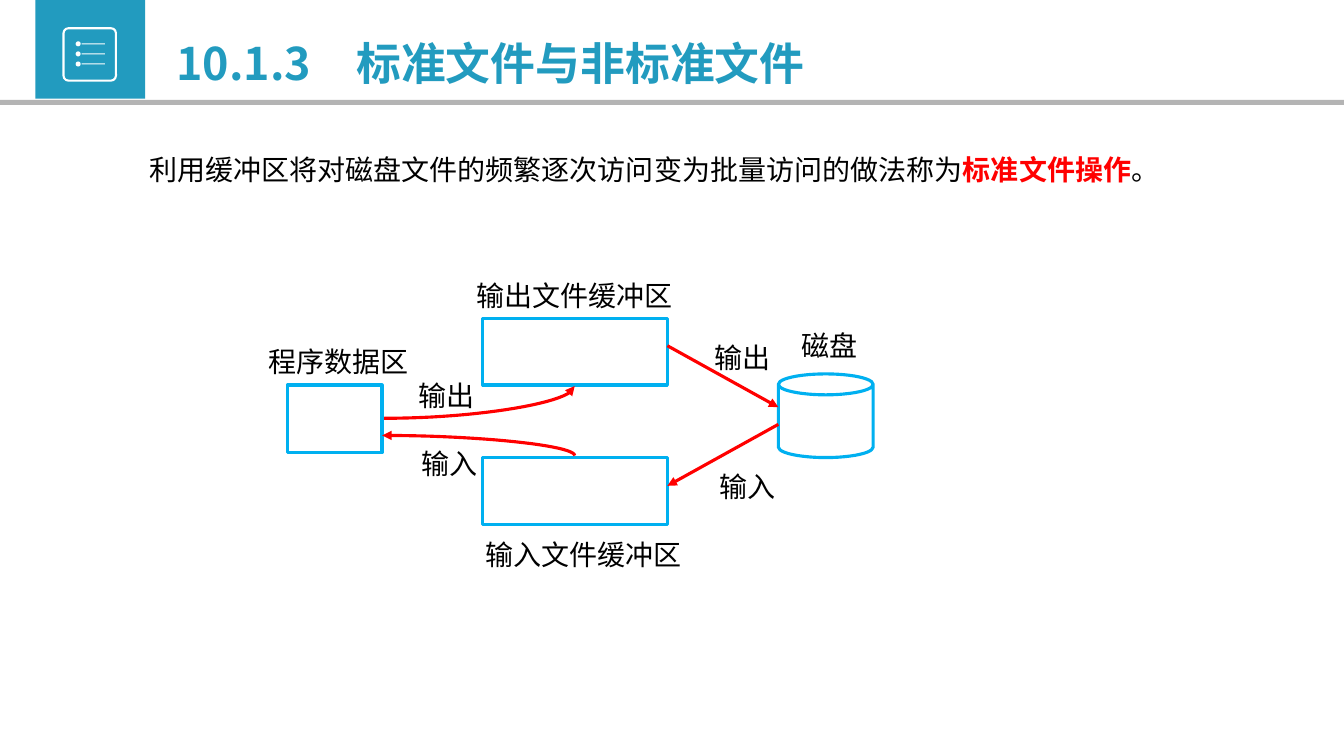
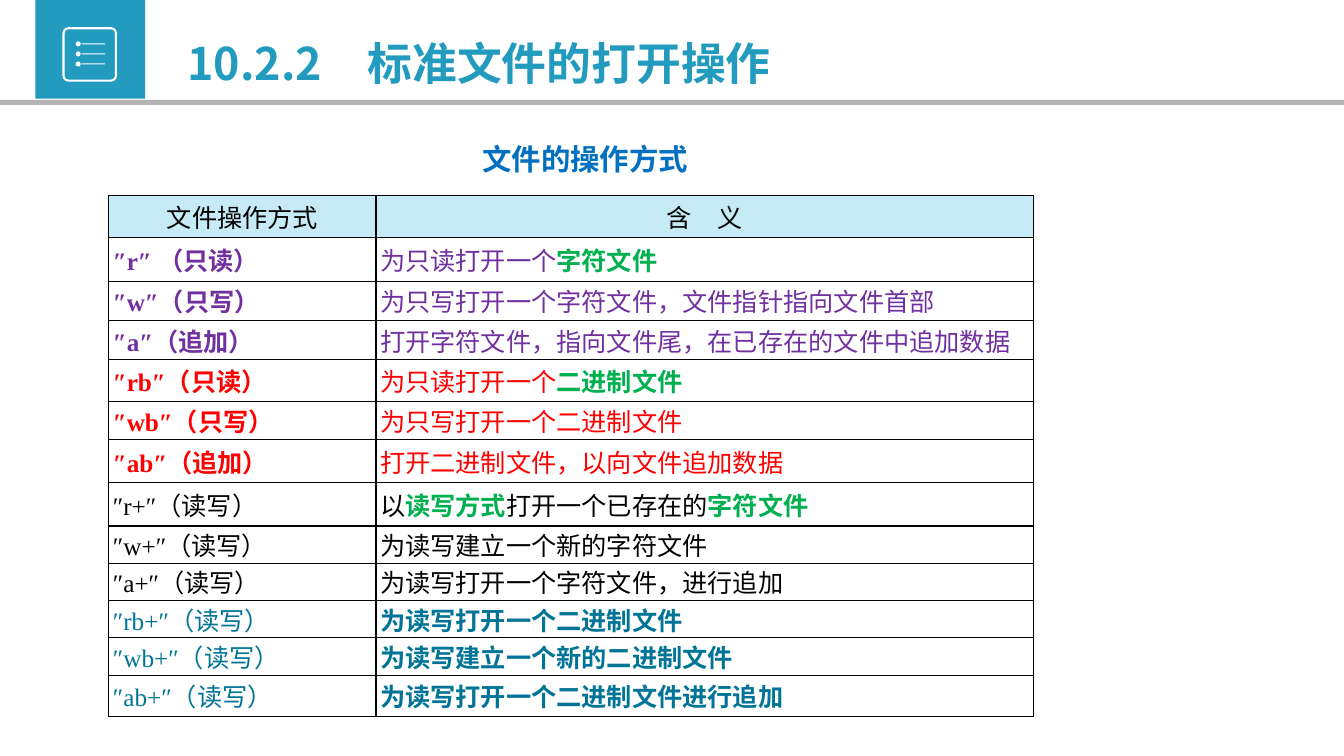
"""Build two slides on standard files: buffer diagram and table of open modes."""
from lxml import etree
from pptx import Presentation
from pptx.dml.color import RGBColor
from pptx.enum import shapes as kinds, text as modes
from pptx.oxml import ns
from pptx.util import Inches, Pt

SANS, SERIF = "Noto Sans CJK SC", "Times New Roman"
TEAL, SKY, RED, GREEN = "229BBF", "00B0F0", "FF0000", "00B050"
BLACK, WHITE, GREY, BLUE = "000000", "FFFFFF", "B4B4B4", "0070C0"
PURPLE, DEEP, PALE = "7030A0", "007496", "C7EBF6"
KIND = kinds.MSO_SHAPE
MID = modes.MSO_ANCHOR.MIDDLE
CENTER = modes.PP_ALIGN.CENTER


def tint(fill, hue):
    """Give a fill, a line fill or a font fill one solid colour."""
    fill.solid()
    fill.fore_color.rgb = RGBColor.from_string(hue)


def write(para, parts, size, face=SANS):
    """Add runs of (words, colour, bold) to a paragraph."""
    for words, hue, bold in parts:
        run = para.add_run()
        run.text = words
        run.font.size, run.font.bold, run.font.name = Pt(size), bold, face
        tint(run.font.fill, hue)
        east = etree.SubElement(run._r.get_or_add_rPr(), ns.qn("a:ea"))
        east.set("typeface", SANS)


prs = Presentation()
prs.slide_width, prs.slide_height = Inches(13.33), Inches(7.5)
layout = prs.slide_layouts[5]

heads = [("10.1.3　标准文件与非标准文件", 1.65), ("10.2.2　标准文件的打开操作", 1.76)]
slides = []
for words, left in heads:
    slide = prs.slides.add_slide(layout)
    title = slide.shapes.title
    title.left, title.top = Inches(left), Inches(0.3)
    title.width, title.height = Inches(7.44), Inches(0.64)
    frame = title.text_frame
    frame.auto_size = modes.MSO_AUTO_SIZE.NONE
    frame.vertical_anchor = MID
    frame.paragraphs[0].alignment = modes.PP_ALIGN.LEFT
    write(frame.paragraphs[0], [(words, TEAL, True)], 32)
    slides.append(slide)
flow, chart = slides

band = [
    (KIND.RECTANGLE, 0.35, 0, 1.09, 0.98, TEAL),
    (KIND.RECTANGLE, 0, 0.99, 13.33, 0.05, GREY),
    (KIND.ROUNDED_RECTANGLE, 0.63, 0.28, 0.52, 0.52, None),
]
for row in range(3):
    top = 0.41 + row * 0.1
    band.append((KIND.OVAL, 0.75, top, 0.05, 0.05, WHITE))
    band.append((KIND.RECTANGLE, 0.81, top + 0.02, 0.23, 0.01, WHITE))
for kind, left, top, wide, high, hue in band:
    part = flow.shapes.add_shape(kind, Inches(left), Inches(top), Inches(wide), Inches(high))
    part.shadow.inherit = False
    if hue:
        tint(part.fill, hue)
        part.line.fill.background()
    else:
        part.adjustments[0] = 0.095
        part.fill.background()
        tint(part.line.fill, WHITE)
        part.line.width = Pt(1.5)
    layout.shapes.element.append(part.element)

box = flow.shapes.add_textbox(Inches(0.89), Inches(1.3), Inches(10.95), Inches(0.61))
box.text_frame.word_wrap = True
para = box.text_frame.paragraphs[0]
para.line_spacing = 1.5
para._p.get_or_add_pPr().set("indent", str(Inches(0.49)))
write(para, [
    ("利用缓冲区将对磁盘文件的频繁逐次访问变为批量访问的做法称为", BLACK, False),
    ("标准文件操作", RED, True),
    ("。", BLACK, False),
], 20, SERIF)

stores = [
    (KIND.RECTANGLE, 4.79, 3.16, 1.83, 0.66),
    (KIND.RECTANGLE, 2.85, 3.82, 0.94, 0.67),
    (KIND.RECTANGLE, 4.79, 4.54, 1.83, 0.66),
    (KIND.CAN, 7.72, 3.71, 0.94, 0.83),
]
for kind, *spot in stores:
    store = flow.shapes.add_shape(kind, *map(Inches, spot))
    store.shadow.inherit = False
    store.fill.background()
    tint(store.line.fill, SKY)
    store.line.width = Pt(2.25)

arrows = []
for x1, y1, x2, y2 in [(6.62, 3.43, 7.72, 4.04), (7.72, 4.21, 6.62, 4.82)]:
    arrows.append(flow.shapes.add_connector(
        kinds.MSO_CONNECTOR.STRAIGHT, Inches(x1), Inches(y1), Inches(x2), Inches(y2)))
bends = [
    [(3.81, 4.15), (4.75, 4.15), (5.7, 3.99), (5.7, 3.83)],
    [(5.7, 4.52), (5.7, 4.42), (4.75, 4.32), (3.79, 4.32)],
]
for knots in bends:
    curve = []
    for step in range(25):
        t = step / 24
        mix = ((1 - t) ** 3, 3 * t * (1 - t) ** 2, 3 * t * t * (1 - t), t ** 3)
        curve.append([Inches(sum(m * k[axis] for m, k in zip(mix, knots))) for axis in (0, 1)])
    pen = flow.shapes.build_freeform(*curve[0])
    pen.add_line_segments(curve[1:], close=False)
    arrow = pen.convert_to_shape()
    arrow.fill.background()
    arrows.append(arrow)
for arrow in arrows:
    tint(arrow.line.fill, RED)
    arrow.line.width = Pt(2.25)
    tip = etree.SubElement(arrow.line._get_or_add_ln(), ns.qn("a:tailEnd"))
    tip.set("type", "triangle")
    etree.SubElement(arrow.element.spPr, ns.qn("a:effectLst"))

labels = [
    (flow, "程序数据区", 2.6, 3.36, 1.51, 20, BLACK),
    (flow, "输出文件缓冲区", 4.66, 2.71, 2.08, 20, BLACK),
    (flow, "输入文件缓冲区", 4.75, 5.28, 2.08, 20, BLACK),
    (flow, "磁盘", 7.89, 3.21, 0.67, 20, BLACK),
    (flow, "输出", 4.09, 3.7, 0.67, 20, BLACK),
    (flow, "输入", 4.12, 4.38, 0.67, 20, BLACK),
    (flow, "输出", 7.03, 3.32, 0.67, 20, BLACK),
    (flow, "输入", 7.08, 4.6, 0.67, 20, BLACK),
    (chart, "文件的操作方式", 4.72, 1.35, 2.17, 21, BLUE),
]
for slide, words, left, top, wide, size, hue in labels:
    label = slide.shapes.add_textbox(Inches(left), Inches(top), Inches(wide), Inches(0.44))
    frame = label.text_frame
    frame.word_wrap = False
    frame.vertical_anchor = MID
    frame.margin_left = frame.margin_right = Inches(0.05)
    frame.margin_top = frame.margin_bottom = 0
    frame.paragraphs[0].alignment = CENTER
    write(frame.paragraphs[0], [(words, hue, hue == BLUE)], size)

rows = [
    (0.42, BLACK, "文件操作方式", "含　义"),
    (0.43, PURPLE, "″r″ （只读）", "为只读打开一个*字符文件"),
    (0.39, PURPLE, "″w″（只写）", "为只写打开一个字符文件，文件指针指向文件首部"),
    (0.39, PURPLE, "″a″（追加）", "打开字符文件，指向文件尾，在已存在的文件中追加数据"),
    (0.41, RED, "″rb″（只读）", "为只读打开一个*二进制文件"),
    (0.38, RED, "″wb″（只写）", "为只写打开一个二进制文件"),
    (0.43, RED, "″ab″（追加）", "打开二进制文件，以向文件追加数据"),
    (0.43, BLACK, "″r+″（读写）", "以*读写方式*打开一个已存在的*字符文件"),
    (0.37, BLACK, "″w+″（读写）", "为读写建立一个新的字符文件"),
    (0.37, BLACK, "″a+″（读写）", "为读写打开一个字符文件，进行追加"),
    (0.37, DEEP, "″rb+″（读写）", "为读写打开一个二进制文件"),
    (0.37, DEEP, "″wb+″（读写）", "为读写建立一个新的二进制文件"),
    (0.41, DEEP, "″ab+″（读写）", "为读写打开一个二进制文件进行追加"),
]
grid = chart.shapes.add_table(
    len(rows), 2, Inches(1.08), Inches(1.94), Inches(9.17), Inches(5.17)).table
grid.first_row = grid.horz_banding = False
grid.columns[0].width, grid.columns[1].width = Inches(2.65), Inches(6.52)
for r, (high, hue, *texts) in enumerate(rows):
    grid.rows[r].height = Inches(high)
    for c, words in enumerate(texts):
        cell = grid.cell(r, c)
        cell.margin_left = cell.margin_right = Inches(0.04)
        cell.margin_top = cell.margin_bottom = 0
        cell.vertical_anchor = MID
        bold = hue in ((PURPLE, RED), (DEEP,))[c]
        parts = [(bit, GREEN, True) if n % 2 else (bit, hue, bold)
                 for n, bit in enumerate(words.split("*"))]
        para = cell.text_frame.paragraphs[0]
        write(para, parts, 18, SERIF if r else SANS)
        if r:
            cell.fill.background()
        else:
            para.alignment = CENTER
            tint(cell.fill, PALE)
        props = cell._tc.get_or_add_tcPr()
        for n, side in enumerate("LRTB"):
            edge = etree.Element(ns.qn("a:ln" + side), w=str(Pt(1)))
            solid = etree.SubElement(edge, ns.qn("a:solidFill"))
            etree.SubElement(solid, ns.qn("a:srgbClr"), val=BLACK)
            props.insert(n, edge)

prs.save("out.pptx")
